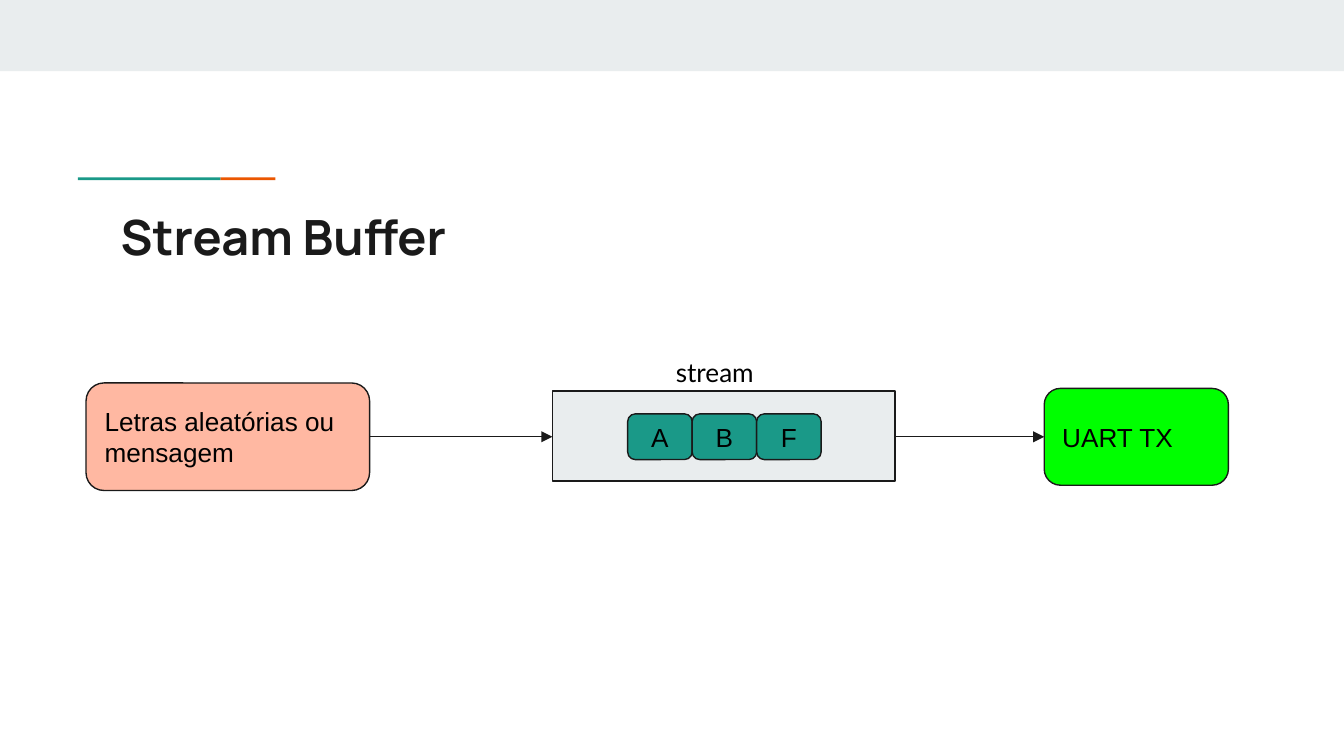
from lxml import etree
from pptx import Presentation
from pptx.dml.color import RGBColor
from pptx.enum.shapes import MSO_CONNECTOR, MSO_SHAPE as Kind
from pptx.enum.text import MSO_ANCHOR as Anchor, PP_ALIGN as Align
from pptx.oxml.ns import qn
from pptx.util import Inches, Pt

INK, GRAY, TEAL = "1A1A1A", "E9EDEE", "1A9988"

deck = Presentation()
deck.slide_width = Inches(10)
deck.slide_height = Inches(10) * 9 // 16
slide = deck.slides.add_slide(deck.slide_layouts[6])
shapes = slide.shapes


def write(shape, text, font="Arial", size=14, color="000000", bold=False,
          align=Align.LEFT, anchor=Anchor.MIDDLE):
    frame = shape.text_frame
    frame.word_wrap = True
    frame.vertical_anchor = anchor
    frame.margin_left = frame.margin_right = Inches(0.1)
    frame.margin_top = frame.margin_bottom = Inches(0.1)
    frame.text = text
    for par in frame.paragraphs:
        par.alignment = align
        par.font.name, par.font.size, par.font.bold = font, Pt(size), bold
        par.font.color.rgb = RGBColor.from_string(color)


def draw(kind, box, fill, line=None):
    """Add a filled shape; without a line colour it has no outline."""
    shape = shapes.add_shape(kind, *map(Inches, box))
    shape.shadow.inherit = False
    shape.fill.solid()
    shape.fill.fore_color.rgb = RGBColor.from_string(fill)
    if line:
        shape.line.color.rgb = RGBColor.from_string(line)
        shape.line.width = Pt(0.75)
    else:
        shape.line.fill.background()
    return shape


# Top band, accent rule and title
draw(Kind.RECTANGLE, (0, 0, 10, 0.53), GRAY)
draw(Kind.RECTANGLE, (1.64, 1.32, 0.41, 0.02), "EB5600")
draw(Kind.RECTANGLE, (0.58, 1.32, 1.06, 0.02), TEAL)
title = shapes.add_textbox(*map(Inches, (0.8, 1.44, 8.41, 0.59)))
write(title, "Stream Buffer", "Manrope", 26, INK, True, anchor=Anchor.TOP)

# Receiver, sender and buffer
target = draw(Kind.ROUNDED_RECTANGLE, (7.77, 2.89, 1.37, 0.72), "00FF00", INK)
write(target, "UART TX")
source = draw(Kind.FLOWCHART_ALTERNATE_PROCESS, (0.64, 2.85, 2.11, 0.8),
              "FFB8A2", INK)
write(source, "Letras aleatórias ou\nmensagem")
buffer = draw(Kind.RECTANGLE, (4.11, 2.91, 2.55, 0.67), GRAY, INK)

# Letters queued in the buffer
wide = 0.48
for i, letter in enumerate("ABF"):
    cell = draw(Kind.ROUNDED_RECTANGLE, (4.67 + i * wide, 3.08, wide, 0.34),
                TEAL, INK)
    write(cell, letter, align=Align.CENTER)

# Arrows along the flow
for left, right in ((source, buffer), (buffer, target)):
    arrow = shapes.add_connector(
        MSO_CONNECTOR.STRAIGHT, left.left + left.width, Inches(3.25),
        right.left, Inches(3.25))
    arrow.line.color.rgb = RGBColor.from_string(INK)
    arrow.line.width = Pt(0.75)
    props = arrow.element.spPr
    etree.SubElement(props.find(qn("a:ln")), qn("a:tailEnd"), type="triangle")
    etree.SubElement(props, qn("a:effectLst"))

label = shapes.add_textbox(*map(Inches, (4.93, 2.55, 0.93, 0.34)))
write(label, "stream", "Lato", anchor=Anchor.TOP)

deck.save("out.pptx")
